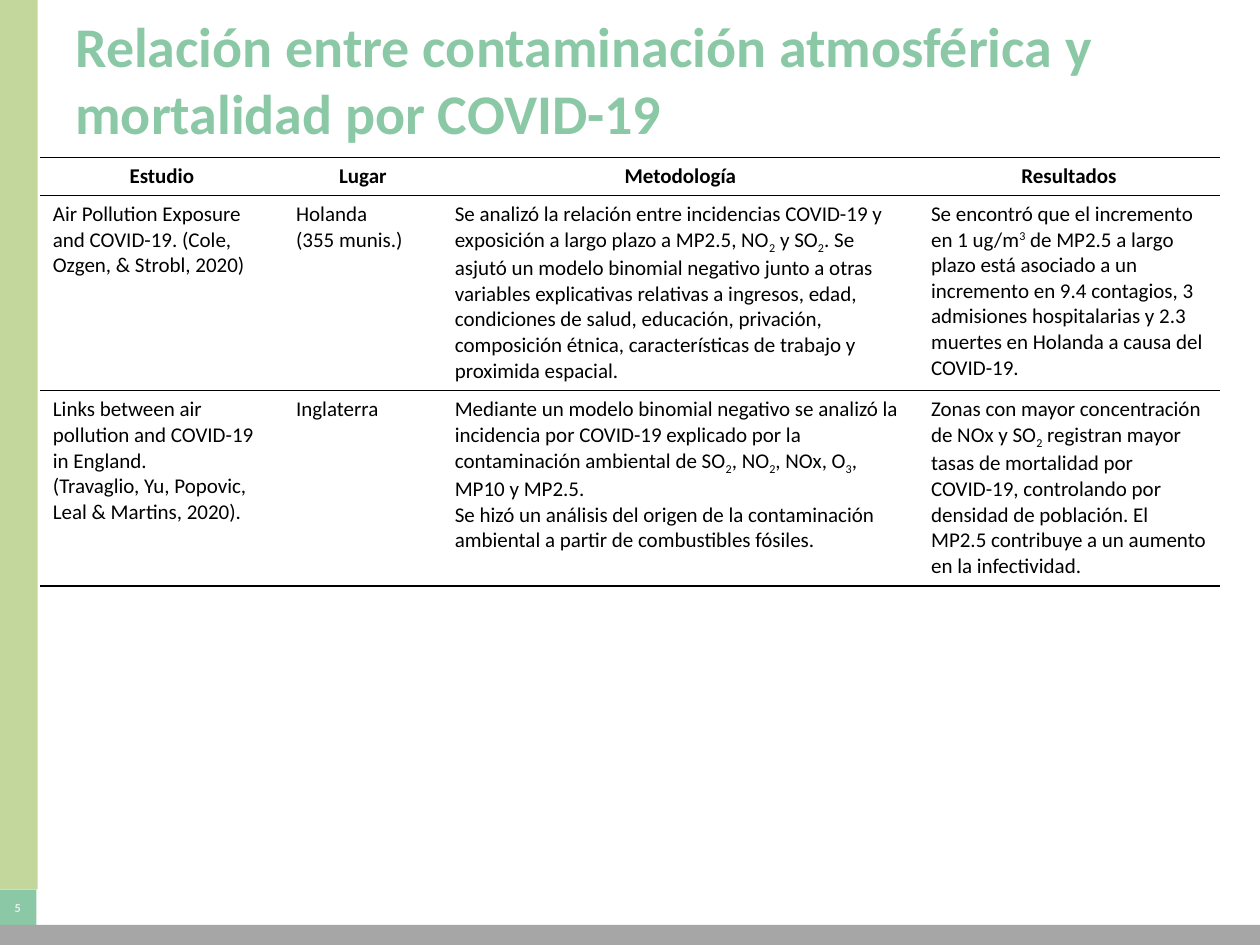
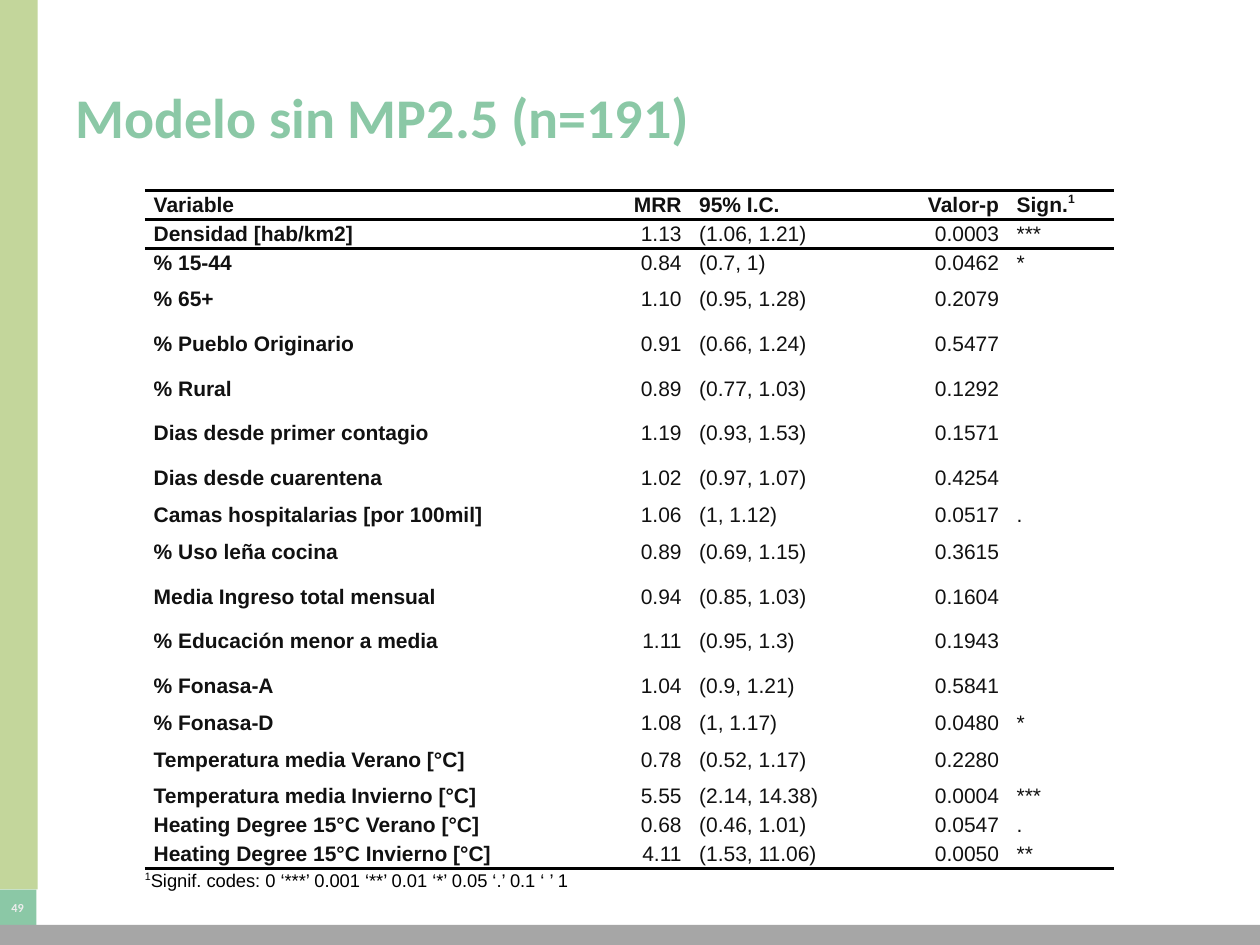
import pptx
import pptx.dml.color
import pptx.enum.shapes
import pptx.enum.text
import pptx.oxml
import pptx.oxml.ns
import pptx.util

Inches = pptx.util.Inches
Pt = pptx.util.Pt
ALIGN = pptx.enum.text.PP_ALIGN
ANCHOR = pptx.enum.text.MSO_ANCHOR

COLOURS = {
    "side": "C3D69B",
    "accent": "8BC8A6",
    "base": "A6A6A6",
    "number": "ECECEC",
    "rule": "000000",
    "text": "000000",
    "model": "111111",
}
PLAIN_TABLE_STYLE = "{2D5ABB26-0587-4C30-8999-92F81FD0307C}"

STUDIES_COLUMNS = [1.93, 1.26, 3.78, 2.39]
STUDIES_HEIGHTS = [0.3, 1.55, 1.55]
STUDIES = [
    ["Estudio", "Lugar", "Metodología", "Resultados"],
    [
        "Air Pollution Exposure and COVID-19. (Cole, Ozgen, & Strobl, 2020)",
        "Holanda\n(355 munis.)",
        "Se analizó la relación entre incidencias COVID-19 y exposición a largo plazo "
        "a MP2.5, NO|_2| y SO|_2|. Se asjutó un modelo binomial negativo junto a otras "
        "variables explicativas relativas a ingresos, edad, condiciones de salud, "
        "educación, privación, composición étnica, características de trabajo y "
        "proximida espacial.",
        "Se encontró que el incremento en 1 ug/m|^3| de MP2.5 a largo plazo está "
        "asociado a un incremento en 9.4 contagios, 3 admisiones hospitalarias y 2.3 "
        "muertes en Holanda a causa del COVID-19.",
    ],
    [
        "Links between air pollution and COVID-19 in England.\n"
        "(Travaglio, Yu, Popovic, Leal & Martins, 2020).",
        "Inglaterra",
        "Mediante un modelo binomial negativo se analizó la incidencia por COVID-19 "
        "explicado por la contaminación ambiental de SO|_2|, NO|_2|, NOx, O|_3|, "
        "MP10 y MP2.5.\n"
        "Se hizó un análisis del origen de la contaminación ambiental a partir de "
        "combustibles fósiles.",
        "Zonas con mayor concentración de NOx y SO|_2| registran mayor tasas de "
        "mortalidad por COVID-19, controlando por densidad de población. El MP2.5 "
        "contribuye a un aumento en la infectividad.",
    ],
]

MODEL_COLUMNS = [3.52, 0.81, 1.48, 1.04, 0.84]
MODEL_ALIGNMENTS = [ALIGN.LEFT, ALIGN.RIGHT, ALIGN.LEFT, ALIGN.RIGHT, ALIGN.LEFT]
MODEL = [
    ["Variable", "MRR", "95% I.C.", "Valor-p", "Sign.|^1|"],
    ["Densidad [hab/km2]", "1.13", "(1.06, 1.21)", "0.0003", "***"],
    ["% 15-44", "0.84", "(0.7, 1)", "0.0462", "*"],
    ["% 65+", "1.10", "(0.95, 1.28)", "0.2079", ""],
    ["% Pueblo Originario", "0.91", "(0.66, 1.24)", "0.5477", ""],
    ["% Rural", "0.89", "(0.77, 1.03)", "0.1292", ""],
    ["Dias desde primer contagio", "1.19", "(0.93, 1.53)", "0.1571", ""],
    ["Dias desde cuarentena", "1.02", "(0.97, 1.07)", "0.4254", ""],
    ["Camas hospitalarias [por 100mil]", "1.06", "(1, 1.12)", "0.0517", "."],
    ["% Uso leña cocina", "0.89", "(0.69, 1.15)", "0.3615", ""],
    ["Media Ingreso total mensual", "0.94", "(0.85, 1.03)", "0.1604", ""],
    ["% Educación menor a media", "1.11", "(0.95, 1.3)", "0.1943", ""],
    ["% Fonasa-A", "1.04", "(0.9, 1.21)", "0.5841", ""],
    ["% Fonasa-D", "1.08", "(1, 1.17)", "0.0480", "*"],
    ["Temperatura media Verano [°C]", "0.78", "(0.52, 1.17)", "0.2280", ""],
    ["Temperatura media Invierno [°C]", "5.55", "(2.14, 14.38)", "0.0004", "***"],
    ["Heating Degree 15°C Verano [°C]", "0.68", "(0.46, 1.01)", "0.0547", "."],
    ["Heating Degree 15°C Invierno [°C]", "4.11", "(1.53, 11.06)", "0.0050", "**"],
]
MODEL_NOTE = "|^1|Signif. codes: 0 ‘***’ 0.001 ‘**’ 0.01 ‘*’ 0.05 ‘.’ 0.1 ‘ ’ 1"


def rgb(name):
    return pptx.dml.color.RGBColor.from_string(COLOURS[name])


def write(text_frame, text, size, colour, font="Calibri", bold=False,
          align=ALIGN.LEFT, raised="30000", after=0):
    for index, line in enumerate(text.split("\n")):
        paragraph = text_frame.add_paragraph() if index else text_frame.paragraphs[0]
        paragraph.alignment = align
        paragraph.space_after = Pt(after)
        paragraph.font.name = font
        paragraph.font.size = Pt(size)
        paragraph.font.bold = bold
        paragraph.font.color.rgb = rgb(colour)
        for position, part in enumerate(line.split("|")):
            if not part:
                continue
            run = paragraph.add_run()
            run.text = part
            if position % 2:
                run.text = part[1:]
                baseline = raised if part[0] == "^" else "-25000"
                run.font._element.set("baseline", baseline)


def add_band(slide, left, top, width, height, colour):
    band = slide.shapes.add_shape(
        pptx.enum.shapes.MSO_SHAPE.RECTANGLE,
        Inches(left), Inches(top), Inches(width), Inches(height))
    band.shadow.inherit = False
    band.fill.solid()
    band.fill.fore_color.rgb = rgb(colour)
    band.line.fill.background()
    return band


def set_margins(frame, horizontal, vertical):
    frame.margin_left = frame.margin_right = Inches(horizontal)
    frame.margin_top = frame.margin_bottom = Inches(vertical)


def add_base_slide(presentation, number, title, title_top):
    slide = presentation.slides.add_slide(presentation.slide_layouts[6])
    add_band(slide, 0, 0, 0.3, 7.06, "side")
    number_box = add_band(slide, -0.01, 7.06, 0.3, 0.29, "accent")
    add_band(slide, -0.01, 7.34, 10.03, 0.16, "base")
    set_margins(number_box.text_frame, 0, 0)
    number_box.text_frame.vertical_anchor = ANCHOR.MIDDLE
    write(number_box.text_frame, number, 7, "number", bold=True,
          align=ALIGN.CENTER, after=6)
    title_box = slide.shapes.add_textbox(
        Inches(0.5), Inches(title_top), Inches(9), Inches(1.25))
    title_box.text_frame.word_wrap = True
    title_box.text_frame.vertical_anchor = ANCHOR.MIDDLE
    write(title_box.text_frame, title, 32, "accent", bold=True)
    return slide


def add_plain_table(slide, left, top, widths, heights):
    shape = slide.shapes.add_table(
        len(heights), len(widths), Inches(left), Inches(top),
        Inches(sum(widths)), Inches(sum(heights)))
    table = shape.table
    table.first_row = False
    table.horz_banding = False
    table._tbl.tblPr.find(pptx.oxml.ns.qn("a:tableStyleId")).text = PLAIN_TABLE_STYLE
    for column, width in zip(table.columns, widths):
        column.width = Inches(width)
    for row, height in zip(table.rows, heights):
        row.height = Inches(height)
    for cell in table.iter_cells():
        cell.fill.background()
    return table


def rule_row(table, row, sides, weight):
    for cell in table.rows[row].cells:
        for index, side in enumerate(sides):
            line = pptx.oxml.parse_xml(
                f'<a:ln{side} {pptx.oxml.ns.nsdecls("a")} w="{Pt(weight)}">'
                f'<a:solidFill><a:srgbClr val="{COLOURS["rule"]}"/></a:solidFill>'
                f'</a:ln{side}>')
            cell._tc.get_or_add_tcPr().insert(index, line)


def add_studies_table(slide, left, top):
    table = add_plain_table(slide, left, top, STUDIES_COLUMNS, STUDIES_HEIGHTS)
    for row, texts in enumerate(STUDIES):
        heading = row == 0
        for column, text in enumerate(texts):
            cell = table.cell(row, column)
            cell.vertical_anchor = ANCHOR.MIDDLE if heading else ANCHOR.TOP
            write(cell.text_frame, text, 12, "text", bold=heading,
                  align=ALIGN.CENTER if heading else ALIGN.LEFT)
        rule_row(table, row, "TB", 1)


def add_model_table(slide, left, top):
    heights = [0.23 if texts[-1] else 0.355 for texts in MODEL] + [0.19]
    table = add_plain_table(slide, left, top, MODEL_COLUMNS, heights)
    for row, texts in enumerate(MODEL):
        for column, text in enumerate(texts):
            cell = table.cell(row, column)
            cell.vertical_anchor = ANCHOR.MIDDLE
            set_margins(cell, 0.07, 0)
            if text:
                write(cell.text_frame, text, 12, "model", "Arial",
                      bold=row == 0 or column == 0,
                      align=MODEL_ALIGNMENTS[column], raised="40000", after=2)
    note_row = len(MODEL)
    note = table.cell(note_row, 0)
    note.merge(table.cell(note_row, len(MODEL_COLUMNS) - 1))
    note.vertical_anchor = ANCHOR.MIDDLE
    set_margins(note, 0, 0)
    write(note.text_frame, MODEL_NOTE, 10.5, "text", "Arial", raised="40000")
    for row, sides in ((0, "TB"), (1, "T"), (note_row - 1, "B"), (note_row, "T")):
        rule_row(table, row, sides, 2)


def main():
    presentation = pptx.Presentation()
    presentation.slide_width = Inches(10)
    presentation.slide_height = Inches(7.5)
    studies_slide = add_base_slide(
        presentation, "5",
        "Relación entre contaminación atmosférica y mortalidad por COVID-19", 0)
    add_studies_table(studies_slide, 0.32, 1.25)
    model_slide = add_base_slide(presentation, "49", "Modelo sin MP2.5 (n=191)", 0.3)
    add_model_table(model_slide, 1.15, 1.51)
    presentation.save("out.pptx")


if __name__ == "__main__":
    main()
